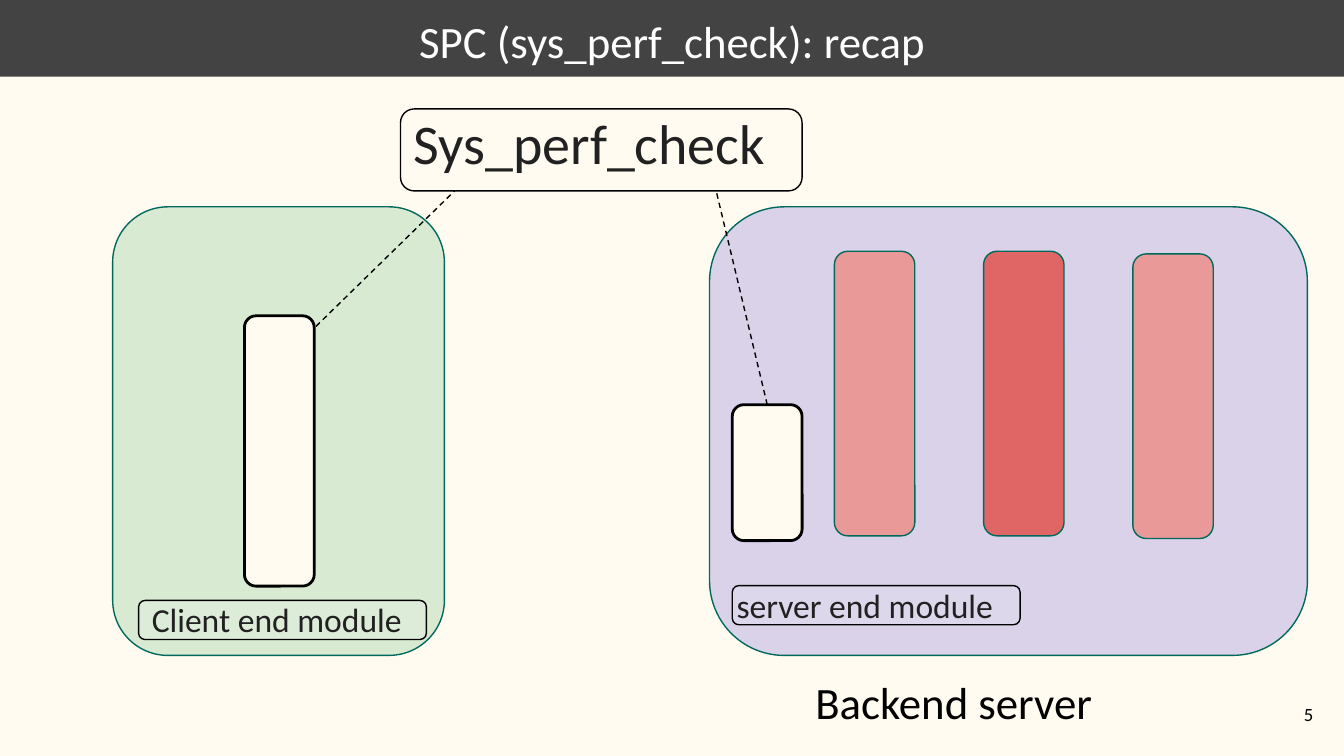
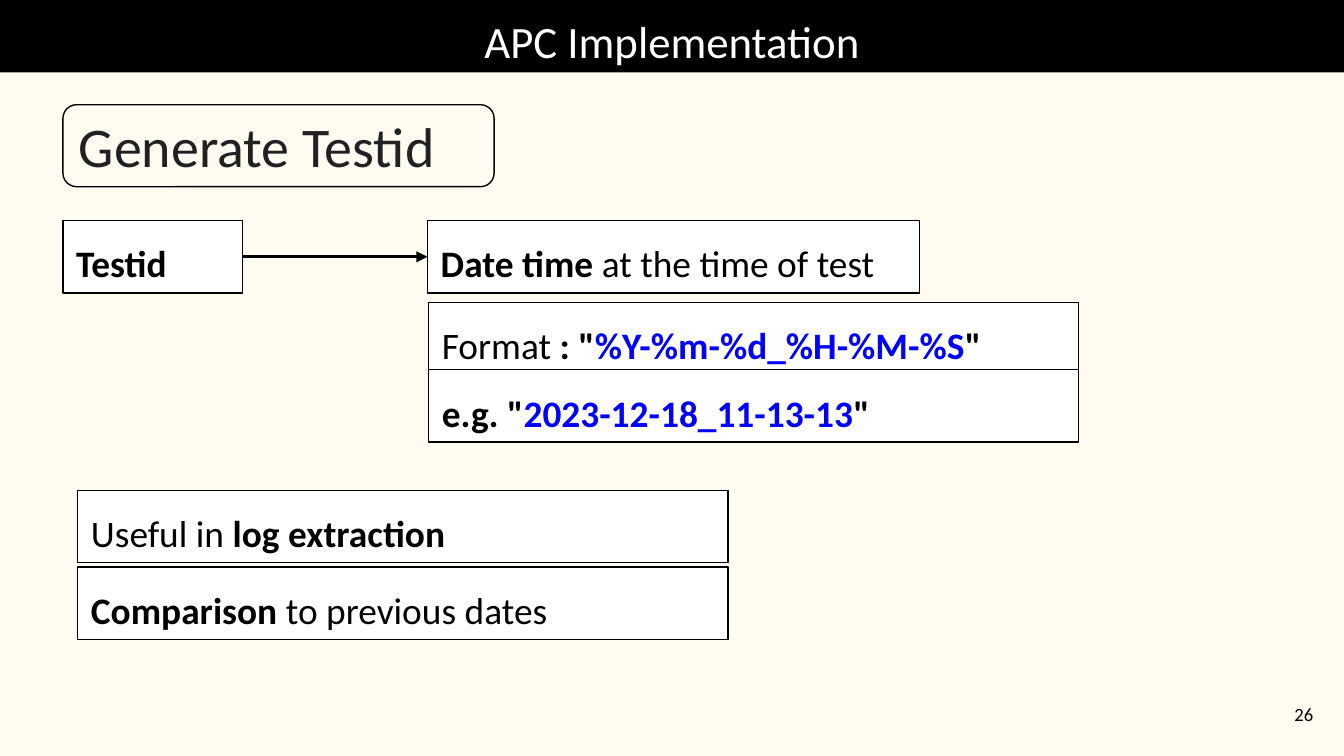
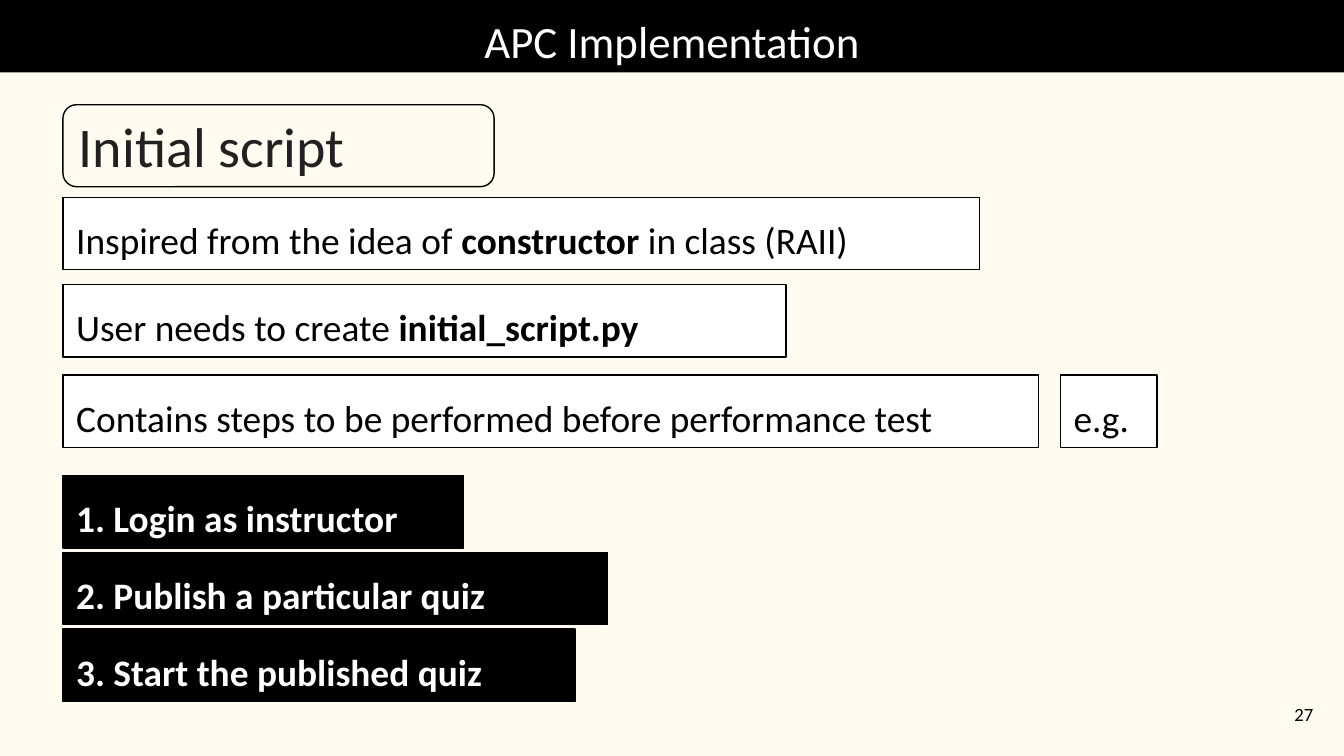
from dataclasses import dataclass
from typing import NamedTuple

from lxml.etree import SubElement
from pptx import Presentation
from pptx.dml.color import RGBColor
from pptx.enum.dml import MSO_LINE
from pptx.enum.shapes import MSO_CONNECTOR, MSO_SHAPE
from pptx.enum.text import MSO_ANCHOR, MSO_AUTO_SIZE, PP_ALIGN
from pptx.oxml.ns import qn
from pptx.util import Cm, Pt

CREAM, WHITE, BLACK = "FFFBF0", "FFFFFF", "000000"
CHARCOAL, TEAL, BLUE = "434343", "00695C", "0000FF"
GREEN, LILAC, PINK, RED = "D9EAD3", "D9D2E9", "EA9999", "E06666"
TITLE_ONLY = 5
BOX_HEIGHT = 1.37

FRAME_FORMAT = {
    "margin_left": Cm(0.25),
    "margin_right": Cm(0.25),
    "margin_top": Cm(0.25),
    "margin_bottom": Cm(0.25),
    "word_wrap": True,
    "vertical_anchor": MSO_ANCHOR.TOP,
}
BOX_PARAGRAPH = {"line_spacing": 1.15, "space_after": Pt(16), "alignment": PP_ALIGN.LEFT}


class Place(NamedTuple):
    left: float
    top: float
    width: float
    height: float

    def lengths(self) -> list[Cm]:
        return [Cm(value) for value in self]


class Words(NamedTuple):
    text: str
    bold: bool = False
    color: str = BLACK


@dataclass
class Panel:
    place: Place
    fill: str
    line: str = TEAL
    weight: float = 0.75


@dataclass
class Label:
    text: str
    size: int
    text_place: Place
    outline_place: Place


@dataclass
class Box:
    left: float
    top: float
    width: float
    words: list[Words]
    fill: str = WHITE


def rgb(color: str) -> RGBColor:
    return RGBColor.from_string(color)


def apply(target, values: dict) -> None:
    for attribute, value in values.items():
        setattr(target, attribute, value)


def write(shape, words: list[Words], size: int, paragraph: dict | None = None,
          frame: dict | None = None) -> None:
    apply(shape.text_frame, FRAME_FORMAT | (frame or {}))
    line = shape.text_frame.paragraphs[0]
    apply(line, paragraph or {})
    for part in words:
        run = line.add_run()
        run.text = part.text
        apply(run.font, {"name": "Calibri", "size": Pt(size), "bold": part.bold})
        run.font.color.rgb = rgb(part.color)


def add_text(slide, place: Place, text: str, size: int, paragraph: dict | None = None,
             frame: dict | None = None) -> None:
    fit = {"auto_size": MSO_AUTO_SIZE.SHAPE_TO_FIT_TEXT}
    write(slide.shapes.add_textbox(*place.lengths()), [Words(text)], size, paragraph, frame or fit)


def add_panel(slide, panel: Panel, preset: MSO_SHAPE = MSO_SHAPE.ROUNDED_RECTANGLE):
    shape = slide.shapes.add_shape(preset, *panel.place.lengths())
    shape.shadow.inherit = False
    shape.fill.solid()
    shape.fill.fore_color.rgb = rgb(panel.fill)
    shape.line.color.rgb = rgb(panel.line)
    shape.line.width = Pt(panel.weight)
    return shape


def add_label(slide, label: Label) -> None:
    add_text(slide, label.text_place, label.text, label.size)
    outline = add_panel(slide, Panel(label.outline_place, WHITE, BLACK))
    tint = outline.element.spPr.find(qn("a:solidFill"))[0]
    SubElement(tint, qn("a:alpha"), val="13000")


def add_box(slide, box: Box):
    place = Place(box.left, box.top, box.width, BOX_HEIGHT)
    shape = add_panel(slide, Panel(place, box.fill, BLACK), MSO_SHAPE.RECTANGLE)
    write(shape, box.words, 20, BOX_PARAGRAPH, {"auto_size": MSO_AUTO_SIZE.SHAPE_TO_FIT_TEXT})
    return shape


def add_line(slide, start: tuple[float, float], end: tuple[float, float], weight: float):
    line = slide.shapes.add_connector(MSO_CONNECTOR.STRAIGHT, *map(Cm, start + end))
    line.line.color.rgb = rgb(BLACK)
    line.line.width = Pt(weight)
    SubElement(line.element.spPr, qn("a:effectLst"))
    return line


def add_slide(deck, title: str, number: int, band: str = BLACK, band_height: float = 1.37):
    slide = deck.slides.add_slide(deck.slide_layouts[TITLE_ONLY])
    heading = slide.shapes.title
    apply(heading, dict(zip(Place._fields, Place(0, 0, 25.4, band_height).lengths())))
    heading.fill.solid()
    heading.fill.fore_color.rgb = rgb(band)
    write(heading, [Words(title, color=WHITE)], 24, {"alignment": PP_ALIGN.CENTER},
          {"auto_size": MSO_AUTO_SIZE.NONE})
    add_text(slide, Place(23.55, 12.95, 1.52, 1.09), str(number), 10,
             {"alignment": PP_ALIGN.RIGHT}, {"vertical_anchor": MSO_ANCHOR.MIDDLE})
    return slide


def add_implementation_slide(deck, number: int, topic: str):
    slide = add_slide(deck, "APC Implementation", number)
    add_label(slide, Label(topic, 30, Place(1.24, 1.85, 10.9, 1.8), Place(1.19, 1.98, 8.15, 1.55)))
    return slide


def build_recap(deck) -> None:
    slide = add_slide(deck, "SPC (sys_perf_check): recap", 5, CHARCOAL, 1.45)
    add_panel(slide, Panel(Place(2.13, 3.91, 6.27, 8.48), GREEN))
    add_panel(slide, Panel(Place(13.41, 3.91, 11.3, 8.48), LILAC))
    add_text(slide, Place(15.16, 12.5, 6.27, 1.55), "Backend server", 24)
    for index, (fill, top) in enumerate([(PINK, 4.75), (RED, 4.75), (PINK, 4.8)]):
        add_panel(slide, Panel(Place(15.77 + 2.82 * index, top, 1.52, 5.38), fill))
    add_panel(slide, Panel(Place(4.62, 5.97, 1.32, 5.11), CREAM, BLACK, 1.5))
    server_module = add_panel(slide, Panel(Place(13.84, 7.65, 1.32, 2.57), CREAM, BLACK, 1.5))
    labels = [
        Label("Client end module", 18,
              Place(2.62, 11.07, 6.07, 1.27), Place(2.62, 11.35, 5.44, 0.74)),
        Label("server end module", 18,
              Place(13.67, 10.8, 5.66, 1.27), Place(13.84, 11.07, 5.44, 0.74)),
        Label("Sys_perf_check", 30,
              Place(7.57, 1.8, 7.85, 1.8), Place(7.57, 2.06, 7.59, 1.55)),
    ]
    for label in labels:
        add_label(slide, label)
    client_link = add_line(slide, (5.97, 6.17), (8.59, 3.61), 0.75)
    server_link = add_line(slide, (14.5, 7.65), (13.54, 3.63), 0.75)
    server_link.begin_connect(server_module, 0)
    for link in (client_link, server_link):
        link.line.dash_style = MSO_LINE.DASH


def build_testid(deck) -> None:
    slide = add_implementation_slide(deck, 26, "Generate Testid")
    testid = add_box(slide, Box(1.19, 4.17, 3.4, [Words("Testid", True)]))
    date_time = add_box(slide, Box(8.08, 4.17, 9.3, [
        Words("Date time ", True), Words("at the time of test")]))
    arrow = add_line(slide, (4.59, 4.86), (8.08, 4.86), 1.5)
    arrow.begin_connect(testid, 3)
    arrow.end_connect(date_time, 1)
    SubElement(arrow.element.spPr.find(qn("a:ln")), qn("a:tailEnd"), type="triangle")
    details = [
        Box(8.1, 5.72, 12.29, [
            Words("Format"), Words(' : "', True),
            Words("%Y-%m-%d_%H-%M-%S", True, BLUE), Words('"', True)]),
        Box(8.1, 6.99, 12.29, [
            Words('e.g. "', True), Words("2023-12-18_11-13-13", True, BLUE), Words('"', True)]),
        Box(1.47, 9.27, 12.29, [Words("Useful in "), Words("log extraction", True)]),
        Box(1.47, 10.72, 12.29, [Words("Comparison ", True), Words("to previous dates")]),
    ]
    for detail in details:
        add_box(slide, detail)


def build_initial_script(deck) -> None:
    slide = add_implementation_slide(deck, 27, "Initial script")
    facts = [
        Box(1.19, 3.73, 17.32, [
            Words("Inspired from the idea of "), Words("constructor", True),
            Words(" in class (RAII)")]),
        Box(1.19, 5.38, 13.67, [Words("User needs to create "), Words("initial_script.py", True)]),
        Box(1.19, 7.09, 18.44, [Words("Contains steps to be performed before performance test")]),
        Box(20.04, 7.09, 1.83, [Words("e.g.")]),
    ]
    steps = [
        ("1. Login as instructor", 7.57),
        ("2. Publish a particular quiz", 10.29),
        ("3. Start the published quiz", 9.68),
    ]
    for index, (step, width) in enumerate(steps):
        facts.append(Box(1.19, 8.99 + 1.45 * index, width, [Words(step, True, WHITE)], BLACK))
    for fact in facts:
        add_box(slide, fact)


def main() -> None:
    deck = Presentation()
    deck.slide_width, deck.slide_height = Cm(25.4), Cm(14.29)
    background = deck.slide_master.background.fill
    background.solid()
    background.fore_color.rgb = rgb(CREAM)
    build_recap(deck)
    build_testid(deck)
    build_initial_script(deck)
    deck.save("out.pptx")


if __name__ == "__main__":
    main()
